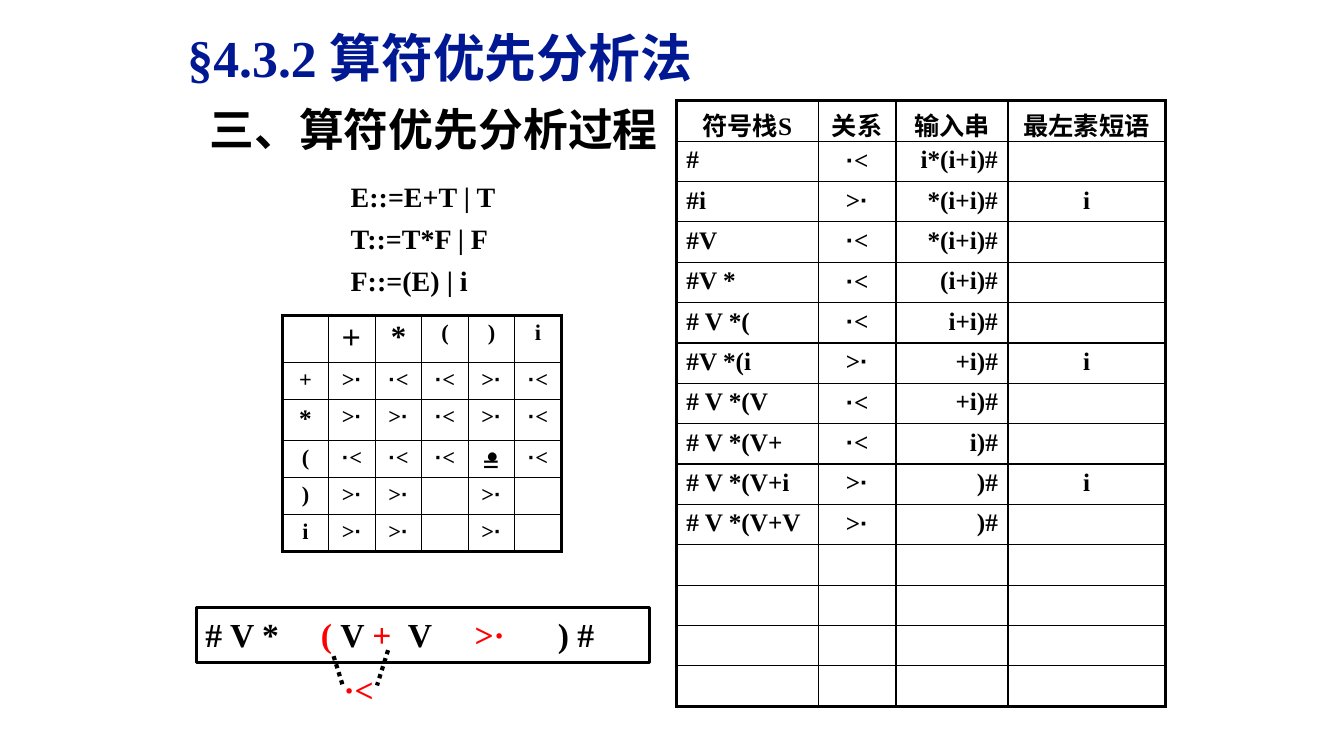
from itertools import groupby

from lxml import etree
from pptx import Presentation
from pptx.dml.color import RGBColor
from pptx.enum import dml, shapes, text
from pptx.oxml import ns
from pptx.util import Pt

COLORS = {"black": "000000", "red": "FF0000", "navy": "011893"}
SERIF = "Times New Roman"
LEFT, CENTER, RIGHT = text.PP_ALIGN.LEFT, text.PP_ALIGN.CENTER, text.PP_ALIGN.RIGHT


def add_text(paragraph, content, size=24, color="black", font=SERIF, dot_font=None, bold=True,
             align=LEFT, spacing=None):
    paragraph.alignment = align
    paragraph.space_before = Pt(0)
    if spacing:
        paragraph.line_spacing = spacing
    for is_dot, characters in groupby(content, lambda character: character == "·"):
        run = paragraph.add_run()
        run.text = "".join(characters)
        run.font.name = dot_font if is_dot and dot_font else font
        run.font.size = Pt(size)
        run.font.bold = bold
        run.font.color.rgb = RGBColor.from_string(COLORS[color])


def add_box(left, top, width, height, wrap=True):
    frame = slide.shapes.add_textbox(Pt(left), Pt(top), Pt(width), Pt(height)).text_frame
    frame.word_wrap = wrap
    frame.auto_size = text.MSO_AUTO_SIZE.SHAPE_TO_FIT_TEXT
    return frame.paragraphs[0]


presentation = Presentation()
presentation.slide_width, presentation.slide_height = Pt(960), Pt(540)
slide = presentation.slides.add_slide(presentation.slide_layouts[5])

title = slide.shapes.title
title.left, title.top, title.width, title.height = Pt(126.7), Pt(5), Pt(696.2), Pt(62)
title.text_frame.word_wrap = True
title.text_frame.auto_size = text.MSO_AUTO_SIZE.NONE
title.text_frame.vertical_anchor = text.MSO_ANCHOR.MIDDLE
heading = title.text_frame.paragraphs[0]
properties = heading._p.get_or_add_pPr()
properties.set("marL", str(Pt(27)))
properties.set("indent", str(Pt(-27)))
add_text(heading, "§4.3.2 算符优先分析法", size=37, color="navy", spacing=1.2)

add_text(add_box(142.6, 50, 335.5, 64.8, wrap=False), "三、算符优先分析过程", size=32, spacing=1.5)

parse_steps = [
    ["符号栈S", "关系", "输入串", "最左素短语"],
    ["#", "·<", "i*(i+i)#", ""],
    ["#i", ">·", "*(i+i)#", "i"],
    ["#V", "·<", "*(i+i)#", ""],
    ["#V *", "·<", "(i+i)#", ""],
    ["# V *(", "·<", "i+i)#", ""],
    ["#V *(i", ">·", "+i)#", "i"],
    ["# V *(V", "·<", "+i)#", ""],
    ["# V *(V+", "·<", "i)#", ""],
    ["# V *(V+i", ">·", ")#", "i"],
    ["# V *(V+V", ">·", ")#", ""],
] + [[""] * 4] * 4
precedence = [
    ["", "＋", "*", "(", ")", "i"],
    ["+", ">·", "·<", "·<", ">·", "·<"],
    ["*", ">·", ">·", "·<", ">·", "·<"],
    ["(", "·<", "·<", "·<", "", "·<"],
    [")", ">·", ">·", "", ">·", ""],
    ["i", ">·", ">·", "", ">·", ""],
]
tables = [
    (parse_steps, 483.1, 72, [101.5, 55.4, 80, 112.3], [28.85] * 15,
     [LEFT, CENTER, RIGHT, CENTER], 18, {}),
    (precedence, 201.6, 225.4, [33.25] * 6, [33.4, 26.6, 29, 26.6, 26.6, 26.6],
     [CENTER] * 6, 16, {(0, 2): 22, (2, 0): 18}),
]
for rows, left, top, widths, heights, alignments, base_size, special_sizes in tables:
    table = slide.shapes.add_table(len(rows), len(widths), Pt(left), Pt(top),
                                   Pt(sum(widths)), Pt(sum(heights))).table
    table.first_row = table.horz_banding = False
    for column, width in zip(table.columns, widths):
        column.width = Pt(width)
    for r, row in enumerate(rows):
        table.rows[r].height = Pt(heights[r])
        for c, content in enumerate(row):
            cell = table.cell(r, c)
            cell.margin_bottom = Pt(0)
            outer = {"lnL": c == 0, "lnR": c == len(row) - 1, "lnT": r == 0, "lnB": r == len(rows) - 1}
            for side, is_outer in outer.items():
                line = etree.SubElement(cell._tc.get_or_add_tcPr(), ns.qn(f"a:{side}"),
                                        w=str(Pt(2.25 if is_outer else 1)))
                fill = etree.SubElement(line, ns.qn("a:solidFill"))
                etree.SubElement(fill, ns.qn("a:srgbClr"), val=COLORS["black"])
            cell.fill.background()
            if content:
                add_text(cell.text_frame.paragraphs[0], content, dot_font="Arial",
                         size=special_sizes.get((r, c), base_size),
                         align=CENTER if r == 0 else alignments[c])

add_text(add_box(337.7, 311.8, 34.6, 36), "=", font="Calibri", bold=False)
add_text(add_box(339.1, 291.6, 26.6, 59.8, wrap=False), "·", size=44, font="Calibri", bold=False)

rule = add_box(243.4, 118.8, 141.8, 97.2)
for i, production in enumerate(["E::=E+T | T", "T::=T*F | F", "F::=(E) | i"]):
    paragraph = rule if i == 0 else rule._parent.add_paragraph()
    add_text(paragraph, production, size=20, align=text.PP_ALIGN.JUSTIFY, spacing=1.25)

stack = add_box(139.7, 434.9, 326.9, 36)
tab_list = etree.SubElement(stack._p.get_or_add_pPr(), ns.qn("a:tabLst"))
for position in [82.4, 144.5, 251.7]:
    etree.SubElement(tab_list, ns.qn("a:tab"), pos=str(Pt(position)), algn="l")
for content, color in [("# V *\t", "black"), ("( ", "red"), ("V ", "black"), ("+\t", "red"),
                       ("V\t) #", "black")]:
    add_text(stack, content, color=color)

frame = slide.shapes.add_shape(shapes.MSO_SHAPE.RECTANGLE, Pt(140.4), Pt(434.2), Pt(323.3), Pt(38.9))
frame.shadow.inherit = False
frame.fill.background()
frame.line.color.rgb = RGBColor.from_string(COLORS["black"])
frame.line.width = Pt(2)

for content, left, top in [("·<", 238.3, 474.5), (">·", 331.9, 434.9)]:
    add_text(add_box(left, top, 36.7, 36, wrap=False), content, color="red")

for start_x, start_y, end_x, end_y in [(238.3, 468.7, 244.8, 489.6), (277.2, 464.4, 269.3, 489.6)]:
    link = slide.shapes.add_connector(shapes.MSO_CONNECTOR.STRAIGHT, Pt(start_x), Pt(start_y),
                                      Pt(end_x), Pt(end_y))
    link.line.color.rgb = RGBColor.from_string(COLORS["black"])
    link.line.width = Pt(3)
    link.line.dash_style = dml.MSO_LINE.ROUND_DOT
    etree.SubElement(link._element.spPr, ns.qn("a:effectLst"))

presentation.save("out.pptx")
